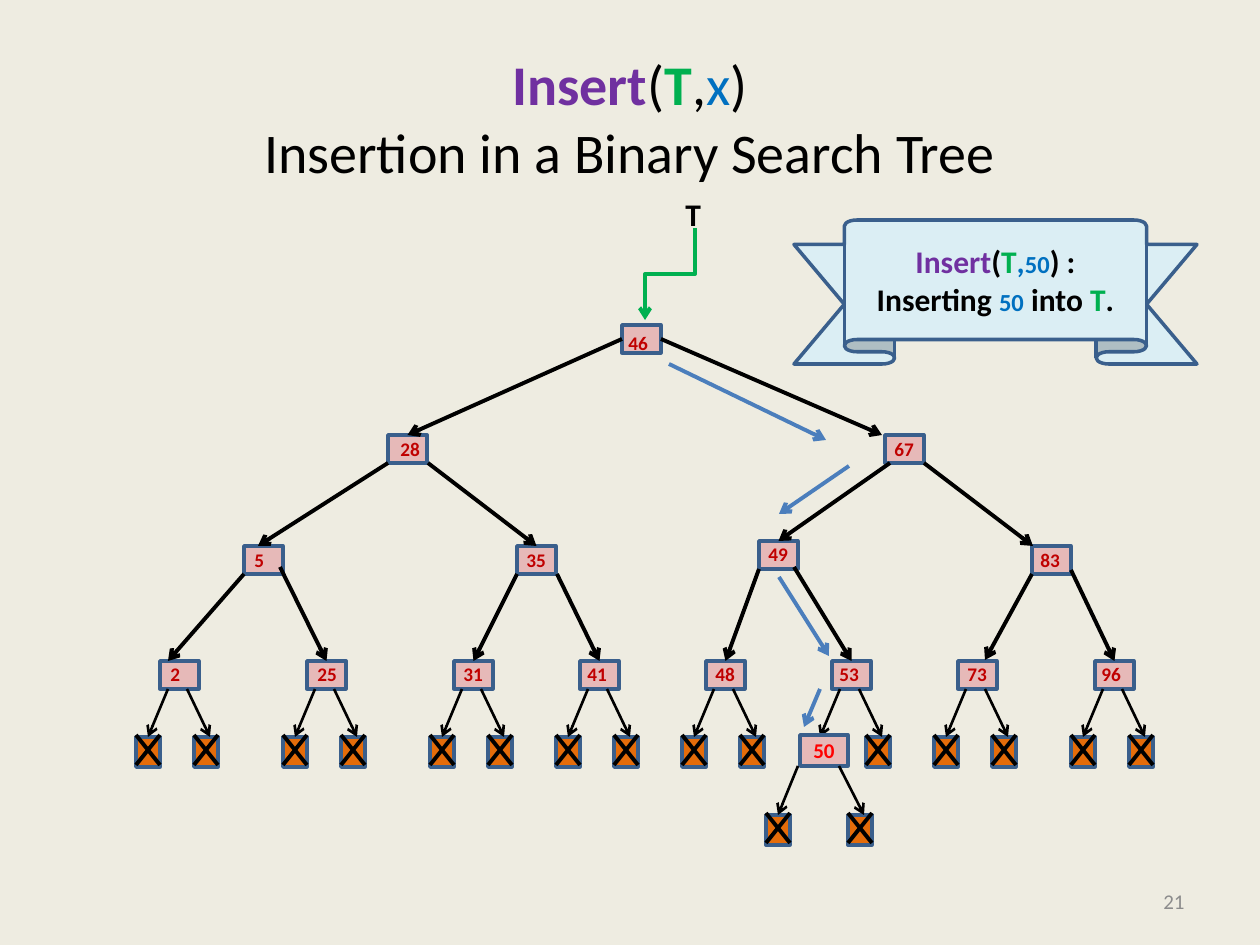
"""Build a slide showing the insertion of 50 into a binary search tree."""
from lxml import etree
from pptx import Presentation
from pptx import util as u
from pptx.dml.color import RGBColor
from pptx.enum import shapes, text
from pptx.oxml import ns

COLORS = {
    "background": "EEECE1", "node": "E6B9B8", "null": "E46C0A", "border": "3A5F8C",
    "ribbon": "DBEEF4", "path": "4B7EBC", "black": "000000", "key": "C00000",
    "new key": "FF0000", "purple": "7030A0", "green": "00B050", "blue": "0070C0",
    "number": "8C8C8C",
}
TITLE = [[
    ("Insert", 32, "purple", True), ("(", 32, "black", False), ("T", 32, "green", True),
    (",", 32, "black", False), ("x", 32, "blue", False), (")", 32, "black", False),
    ("\n", 32, "black", False),
    ("Insertion in a Binary Search Tree", 32, "black", False),
]]
MESSAGE = [
    [("Insert", 18, "purple", True), ("(", 18, "black", True), ("T", 18, "green", True),
     (",", 18, "blue", True), ("50", 14, "blue", True), (") :", 18, "black", True)],
    [("Inserting ", 18, "black", True), ("50", 14, "blue", True),
     (" into ", 18, "black", True), ("T", 18, "green", True), (".", 18, "black", True)],
]
INNER_NODES = [
    (46, 622, 325, 616, 325), (67, 885, 435, 882, 431), (28, 388, 435, 388, 431),
    (5, 244, 546, 242, 542), (35, 517, 546, 514, 542),
    (49, 759, 541, 756, 536), (83, 1032, 546, 1028, 542),
]
LEAVES = [(2, 160, 158), (25, 307, 305), (31, 454, 451), (41, 580, 575),
          (48, 706, 703), (53, 832, 827), (73, 958, 955), (96, 1095, 1089)]
EDGES = [
    (46, 28, (622, 339), (408, 435)), (46, 67, (661, 339), (882, 435)),
    (28, 5, (388, 463), (258, 546)), (28, 35, (428, 463), (537, 546)),
    (67, 49, (890, 463), (779, 541)), (67, 83, (924, 463), (1033, 546)),
    (5, 2, (244, 574), (168, 661)), (5, 25, (280, 567), (326, 661)),
    (35, 31, (517, 574), (474, 661)), (35, 41, (557, 574), (600, 661)),
    (49, 48, (759, 569), (726, 661)), (49, 53, (794, 567), (852, 661)),
    (83, 73, (1032, 574), (985, 660)), (83, 96, (1071, 570), (1114, 661)),
]
SEARCH_PATH = [((669, 364), (826, 440)), ((849, 466), (779, 514)),
               ((779, 577), (829, 656)), ((820, 689), (804, 727))]
INSERT_PARENT = 53
NODE_W, NODE_H = 39, 28
NULL_W, NULL_H = 24, 30
LEAF_Y, NULL_Y = 661, 737


def px(n):
    return round(n * 914400 / 126)


def rgb(name):
    return RGBColor.from_string(COLORS[name])


def write(frame, paragraphs, align=text.PP_ALIGN.LEFT, anchor=text.MSO_ANCHOR.TOP, wrap=True):
    frame.word_wrap = wrap
    frame.vertical_anchor = anchor
    for i, runs in enumerate(paragraphs):
        para = frame.add_paragraph() if i else frame.paragraphs[0]
        para.alignment = align
        for words, size, color, bold in runs:
            if words == "\n":
                para.add_line_break()
                continue
            run = para.add_run()
            run.text = words
            run.font.name = "Calibri"
            run.font.size = u.Pt(size)
            run.font.bold = bold
            run.font.color.rgb = rgb(color)


def add_label(x, y, w, h, words, size, color):
    label = slide.shapes.add_textbox(px(x), px(y), px(w), px(h))
    write(label.text_frame, [[(words, size, color, True)]], wrap=False)
    label.text_frame.auto_size = text.MSO_AUTO_SIZE.SHAPE_TO_FIT_TEXT


def add_box(parent, kind, x, y, w, h, fill):
    box = parent.add_shape(kind, px(x), px(y), px(w), px(h))
    box.shadow.inherit = False
    box.fill.solid()
    box.fill.fore_color.rgb = rgb(fill)
    box.line.color.rgb = rgb("border")
    box.line.width = u.Pt(2)
    return box


def side_at(box, point):
    x, y, w, h = box.left, box.top, box.width, box.height
    middles = [(x + w / 2, y), (x, y + h / 2), (x + w / 2, y + h), (x + w, y + h / 2)]
    for side, middle in enumerate(middles):
        if all(abs(px(a) - b) < px(2) for a, b in zip(point, middle)):
            return side
    return None


def add_line(parent, start, end, color="black", width=2.25, arrow=True, source=None,
             target=None, kind=shapes.MSO_CONNECTOR.STRAIGHT):
    line = parent.add_connector(kind, *map(px, start + end))
    line.line.color.rgb = rgb(color)
    line.line.width = u.Pt(width)
    if arrow:
        etree.SubElement(line.line._get_or_add_ln(), ns.qn("a:tailEnd"), type="arrow")
    etree.SubElement(line._element.spPr, ns.qn("a:effectLst"))
    for box, point, join in ((source, start, line.begin_connect), (target, end, line.end_connect)):
        side = side_at(box, point) if box is not None else None
        if side is not None:
            join(box, side)
    return line


def add_null(parent, x, y, start, tip):
    box = add_box(parent, RECT, x, y, NULL_W, NULL_H, "null")
    top, bottom = y - 2, y + NULL_H - 2
    add_line(parent, (x + NULL_W, top), (x, bottom), arrow=False)
    add_line(parent, (x, top), (x + NULL_W, bottom), arrow=False)
    add_line(parent, start, (x + tip, y), width=1.5, target=box)


RECT = shapes.MSO_SHAPE.RECTANGLE
CENTER, MIDDLE = text.PP_ALIGN.CENTER, text.MSO_ANCHOR.MIDDLE

prs = Presentation()
prs.slide_width, prs.slide_height = px(1260), px(945)
slide = prs.slides.add_slide(prs.slide_layouts[6])
slide.background.fill.solid()
slide.background.fill.fore_color.rgb = rgb("background")

title = slide.shapes.add_textbox(px(63), px(38), px(1134), px(158))
write(title.text_frame, TITLE, CENTER, MIDDLE)
number = slide.shapes.add_textbox(px(903), px(876), px(294), px(50))
write(number.text_frame, [[("21", 12, "number", False)]], text.PP_ALIGN.RIGHT, MIDDLE)

nodes = {key: add_box(slide.shapes, RECT, x, y, NODE_W, NODE_H, "node")
         for key, x, y, _, _ in INNER_NODES}
for key, x, _ in LEAVES:
    group = slide.shapes if key == INSERT_PARENT else slide.shapes.add_group_shape().shapes
    nodes[key] = add_box(group, RECT, x, LEAF_Y, NODE_W, NODE_H, "node")
    left_start, right_start = (x + 8, LEAF_Y + NODE_H), (x + 27, LEAF_Y + NODE_H)
    if key == INSERT_PARENT:
        add_line(group, left_start, (x - 12, NULL_Y), width=1.5)
    else:
        add_null(group, x - 24, NULL_Y, left_start, 12)
    add_null(group, x + 34, NULL_Y, right_start, 16)

for parent, child, start, end in EDGES:
    add_line(slide.shapes, start, end, source=nodes[parent], target=nodes[child])
root_pointer = add_line(slide.shapes, (624, 249), (716, 299), "green",
                        kind=shapes.MSO_CONNECTOR.ELBOW)
root_pointer._element.spPr.get_or_add_xfrm().set("rot", "5400000")

leaf_labels = [(key, x, LEAF_Y, label_x, LEAF_Y - 5) for key, x, label_x in LEAVES]
for key, _, _, x, y in INNER_NODES + leaf_labels:
    add_label(x, y, 45 if key > 9 else 35, 36, str(key), 11, "key")
add_label(673, 189, 40, 50, "T", 18, "black")

ribbon = add_box(slide.shapes, shapes.MSO_SHAPE.UP_RIBBON, 794, 220, 403, 144, "ribbon")
ribbon.adjustments[0], ribbon.adjustments[1] = 0.17, 0.75
write(ribbon.text_frame, MESSAGE, CENTER, MIDDLE)
for start, end in SEARCH_PATH:
    add_line(slide.shapes, start, end, "path")

inserted = slide.shapes.add_group_shape().shapes
new_node = add_box(inserted, RECT, 800, 735, 48, 31, "node")
write(new_node.text_frame, [[("50", 12, "new key", True)]], CENTER, MIDDLE)
add_null(inserted, 766, 815, (798, 766), 12)
add_null(inserted, 848, 815, (839, 766), 16)

prs.save("out.pptx")
